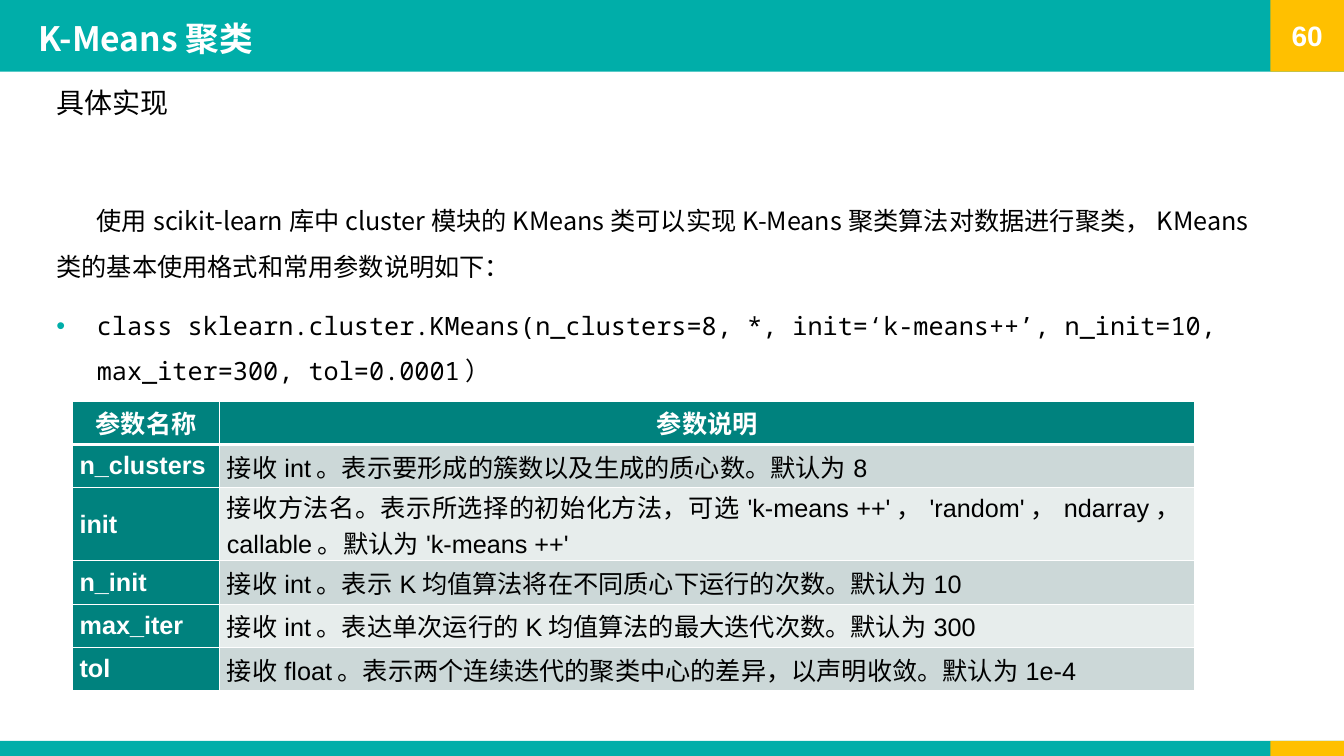
import lxml.etree
import pptx
import pptx.dml.color
import pptx.enum.shapes
import pptx.enum.text
import pptx.oxml.ns
import pptx.util

EMU_PER_PX = 9144
COLORS = {
    "teal": "00AEA9", "dark_teal": "00827E", "amber": "FFC000",
    "odd_row": "CCD8D8", "even_row": "E7EDEC", "white": "FFFFFF", "black": "000000",
}
SANS, MONO, LATIN = "Noto Sans CJK SC", "Noto Sans Mono", "Arial"
ALIGN = pptx.enum.text.PP_ALIGN
ANCHOR = pptx.enum.text.MSO_ANCHOR
PARAMETERS = [
    ("参数名称", "参数说明"),
    ("n_clusters", "接收int。表示要形成的簇数以及生成的质心数。默认为8"),
    ("init", "接收方法名。表示所选择的初始化方法，可选'k-means ++'，'random'，ndarray，callable。默认为'k-means ++'"),
    ("n_init", "接收int。表示K均值算法将在不同质心下运行的次数。默认为10"),
    ("max_iter", "接收int。表达单次运行的K均值算法的最大迭代次数。默认为300"),
    ("tol", "接收float。表示两个连续迭代的聚类中心的差异，以声明收敛。默认为1e-4"),
]


def px(length):
    """Turn px into EMU."""
    return pptx.util.Emu(length * EMU_PER_PX)


def rgb(color):
    """Look up a named colour."""
    return pptx.dml.color.RGBColor.from_string(COLORS[color])


def add_xml(parent, tag, **attributes):
    """Append a DrawingML element and return it."""
    return lxml.etree.SubElement(parent, pptx.oxml.ns.qn(tag), attributes)


def style(paragraph, size, color, bold=False, font=SANS, align=ALIGN.LEFT):
    """Format a whole paragraph, with one font for its Chinese text."""
    paragraph.alignment = align
    paragraph.font.size = pptx.util.Pt(size)
    paragraph.font.bold = bold
    paragraph.font.color.rgb = rgb(color)
    paragraph.font.name = font
    defaults = paragraph.font._element
    add_xml(defaults, "a:ea", typeface=SANS)


def place(placeholder, box, anchor):
    """Move a placeholder into its box and return its text frame."""
    placeholder.left, placeholder.top, placeholder.width, placeholder.height = map(px, box)
    frame = placeholder.text_frame
    frame.auto_size = pptx.enum.text.MSO_AUTO_SIZE.NONE
    frame.word_wrap = True
    frame.vertical_anchor = anchor
    return frame


def set_indent(paragraph, margin, indent, bullet=None):
    """Set the indents in px and the bullet of a paragraph."""
    properties = paragraph._p.get_or_add_pPr()
    properties.set("marL", str(px(margin)))
    properties.set("indent", str(px(indent)))
    if bullet:
        add_xml(add_xml(properties, "a:buClr"), "a:srgbClr", val=COLORS["teal"])
        add_xml(properties, "a:buFont", typeface=LATIN)
        add_xml(properties, "a:buChar", char=bullet)
    else:
        add_xml(properties, "a:buNone")


def add_band(slide, box, color):
    """Draw one plain rectangle."""
    band = slide.shapes.add_shape(pptx.enum.shapes.MSO_SHAPE.RECTANGLE, *map(px, box))
    band.shadow.inherit = False
    band.fill.solid()
    band.fill.fore_color.rgb = rgb(color)
    band.line.fill.background()
    return band


def add_bands(slide, box, page, corner_width=73):
    """Draw the header or footer band with its amber corner."""
    left, top, width, height = box
    add_band(slide, box, "teal")
    corner_box = (left + width - corner_width, top, corner_width, height)
    corner = add_band(slide, corner_box, "amber")
    if page:
        corner.text_frame.vertical_anchor = ANCHOR.MIDDLE
        corner.text_frame.text = page
        style(corner.text_frame.paragraphs[0], 20, "white", True, LATIN, ALIGN.CENTER)


def fill_title(slide, box):
    """Write the slide title in front of the header band."""
    title = slide.shapes.title
    slide.shapes.element.append(title.element)
    frame = place(title, box, ANCHOR.BOTTOM)
    frame.text = "K-Means聚类"
    frame.paragraphs[0].line_spacing = 0.9
    style(frame.paragraphs[0], 24, "white", True)


def fill_subtitle(placeholder, box):
    """Write the section heading."""
    frame = place(placeholder, box, ANCHOR.MIDDLE)
    frame.text = "具体实现"
    heading = frame.paragraphs[0]
    heading.line_spacing = 0.9
    heading.space_before = pptx.util.Pt(0)
    set_indent(heading, 0, 0)
    style(heading, 20, "black")


def fill_body(placeholder, box):
    """Write the introduction and the class signature."""
    frame = place(placeholder, box, ANCHOR.TOP)
    introduction, signature = frame.paragraphs[0], frame.add_paragraph()
    introduction.text = "使用scikit-learn库中cluster模块的KMeans类可以实现K-Means聚类算法对数据进行聚类，KMeans类的基本使用格式和常用参数说明如下："
    signature.text = "class sklearn.cluster.KMeans(n_clusters=8, *, init=‘k-means++’, n_init=10, max_iter=300, tol=0.0001）"
    for paragraph, space in ((introduction, 0), (signature, 10)):
        paragraph.line_spacing = 1.5
        paragraph.space_before = pptx.util.Pt(space)
    set_indent(introduction, 0, 40)
    set_indent(signature, 40, -40, "•")
    style(introduction, 18, "black")
    style(signature, 18, "black", font=MONO)


def set_borders(cell, **widths):
    """Draw white cell borders with widths in points by side."""
    properties = cell._tc.get_or_add_tcPr()
    for side, width in widths.items():
        line = add_xml(properties, f"a:ln{side}", w=str(pptx.util.Pt(width)))
        add_xml(add_xml(line, "a:solidFill"), "a:srgbClr", val=COLORS["white"])


def add_parameter_table(slide, box, name_width=146, row_height=43):
    """Build the table of KMeans parameters."""
    table = slide.shapes.add_table(len(PARAMETERS), 2, *map(px, box)).table
    table.horz_banding = False
    table.columns[0].width = px(name_width)
    table.columns[1].width = px(box[2] - name_width)
    for row, texts in enumerate(PARAMETERS):
        table.rows[row].height = px(row_height)
        for column, text in enumerate(texts):
            cell = table.cell(row, column)
            heading = row == 0 or column == 0
            set_borders(cell, L=1, R=1, T=3 if row == 1 else 1, B=3 if row == 0 else 1)
            cell.fill.solid()
            stripe = "odd_row" if row % 2 else "even_row"
            cell.fill.fore_color.rgb = rgb("dark_teal" if heading else stripe)
            cell.margin_left = cell.margin_right = px(7)
            cell.margin_top = cell.margin_bottom = 0
            cell.vertical_anchor = ANCHOR.MIDDLE
            cell.text = text
            style(cell.text_frame.paragraphs[0], 18, "white" if heading else "black",
                  heading, LATIN, ALIGN.JUSTIFY if row else ALIGN.CENTER)


def main():
    """Build and save the slide."""
    presentation = pptx.Presentation()
    presentation.slide_width, presentation.slide_height = px(1333), px(750)
    slide = presentation.slides.add_slide(presentation.slide_layouts[3])
    add_bands(slide, (0, 0, 1333, 71), "60")
    add_bands(slide, (0, 735, 1333, 15), None)
    fill_body(slide.placeholders[1], (46, 184, 1215, 475))
    fill_title(slide, (28, 5, 1200, 58))
    fill_subtitle(slide.placeholders[2], (46, 80, 1215, 47))
    add_parameter_table(slide, (72, 398, 1113, 258))
    presentation.save("out.pptx")


if __name__ == "__main__":
    main()
